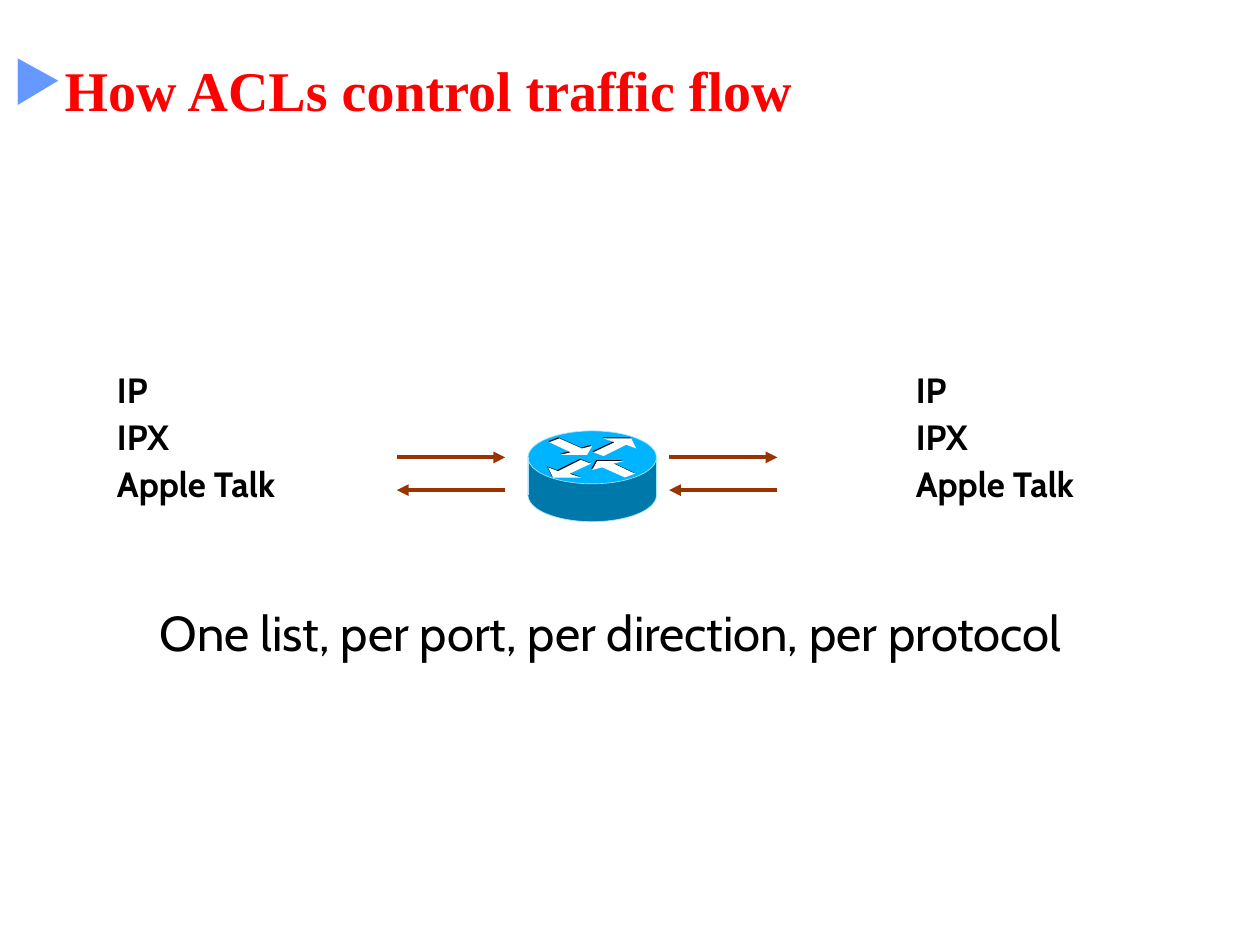
from lxml.etree import SubElement
from pptx import Presentation
from pptx.dml.color import RGBColor
from pptx.enum.shapes import MSO_CONNECTOR, MSO_SHAPE
from pptx.enum.text import MSO_ANCHOR, MSO_AUTO_SIZE, PP_ALIGN
from pptx.oxml.ns import qn
from pptx.util import Inches, Pt

W, H = 10, 7.5
TITLE = "How ACLs control traffic flow"
PROTOCOLS = ["IP", "IPX", "Apple Talk"]
RULE = ["One list, per port, per direction, per protocol"]
RED, BLACK, WHITE, BROWN = "FF0000", "000000", "FFFFFF", "993300"
SIDE, TOP, EDGE, BULLET = "0078AA", "00B4FF", "AAE6FF", "6699FF"

LIST_LEFTS = [0.083 * W, 0.717 * W]
ARROW_LEFTS = [0.315 * W, 0.531 * W]
ARROW_ROWS = [3.63, 3.89]
ARROW_LEN = 0.86
ROUTER_LEFT, ROUTER_W, LID_H = 4.19, 1.02, 0.42
LID_TOP, LID_MID, BODY_H = 3.42, 3.63, 0.3

CENTRE = (4700, 3635)
OUTWARD = [(10, -45), (90, -15), (270, -105), (350, -75), (310, -155), (90, -155), (180, -125)]
INWARD = [(-340, -125), (-260, -155), (-80, -75), (0, -95), (-40, -25), (-250, -25), (-170, -45)]


def rgb(value):
    return RGBColor.from_string(value)


def style(sp, fill, line=None):
    sp.shadow.inherit = False
    sp.fill.solid()
    sp.fill.fore_color.rgb = rgb(fill)
    if line:
        sp.line.color.rgb = rgb(line)
        sp.line.width = Pt(0.37)
    else:
        sp.line.fill.background()


def add_solid(shapes, kind, y, h, fill, line=None):
    sp = shapes.add_shape(kind, Inches(ROUTER_LEFT), Inches(y), Inches(ROUTER_W), Inches(h))
    style(sp, fill, line)


def add_line(shapes, x1, y1, x2, y2, color, width, arrow=False):
    c = shapes.add_connector(MSO_CONNECTOR.STRAIGHT, Inches(x1), Inches(y1), Inches(x2), Inches(y2))
    c.line.color.rgb = rgb(color)
    c.line.width = Pt(width)
    if arrow:
        SubElement(c.line._get_or_add_ln(), qn("a:tailEnd"), type="triangle")
    SubElement(c._element.spPr, qn("a:effectLst"))


def add_router_arrow(shapes, outline, sign, shift, fill):
    pts = [(CENTRE[0] + sign * x + shift, CENTRE[1] + sign * y + shift) for x, y in outline]
    fb = shapes.build_freeform(*pts[0], scale=Inches(1) / 1000)
    fb.add_line_segments(pts[1:], close=True)
    style(fb.convert_to_shape(), fill)


def add_run(p, text, size, font, color, bold):
    r = p.add_run()
    r.text = text
    r.font.size, r.font.name, r.font.bold = Pt(size), font, bold
    r.font.color.rgb = rgb(color)


def add_text(s, lines, x, y, w, h, size, before, bold):
    tf = s.shapes.add_textbox(Inches(x), Inches(y), Inches(w), Inches(h)).text_frame
    tf.word_wrap = True
    tf.vertical_anchor = MSO_ANCHOR.MIDDLE
    for i, line in enumerate(lines):
        p = tf.add_paragraph() if i else tf.paragraphs[0]
        p.line_spacing, p.space_before = 0.8, Pt(before)
        pPr = p._p.get_or_add_pPr()
        pPr.set("marL", str(Inches(0.38)))
        pPr.set("indent", str(-Inches(0.38)))
        add_run(p, line, size, "Cabin", BLACK, bold)


def add_title(s):
    sp = s.shapes.title
    sp.left, sp.top, sp.width, sp.height = 0, Inches(0.33), Inches(W), Inches(0.1 * H)
    tf = sp.text_frame
    tf.auto_size = MSO_AUTO_SIZE.NONE
    tf.vertical_anchor = MSO_ANCHOR.MIDDLE
    p = tf.paragraphs[0]
    p.alignment = PP_ALIGN.LEFT
    pPr = p._p.get_or_add_pPr()
    SubElement(SubElement(pPr, qn("a:buClr")), qn("a:srgbClr"), val=BULLET)
    SubElement(pPr, qn("a:buChar"), char="▶")
    add_run(p, TITLE, 32, "Times New Roman", RED, True)


def add_router(s):
    shapes = s.shapes.add_group_shape().shapes
    add_solid(shapes, MSO_SHAPE.OVAL, LID_TOP + BODY_H, LID_H, SIDE, EDGE)
    add_solid(shapes, MSO_SHAPE.RECTANGLE, LID_MID, BODY_H, SIDE)
    add_solid(shapes, MSO_SHAPE.OVAL, LID_TOP, LID_H, TOP, EDGE)
    for shift, fill in [(-8, BLACK), (0, WHITE)]:
        for outline in (OUTWARD, INWARD):
            for sign in (1, -1):
                add_router_arrow(shapes, outline, sign, shift, fill)
    for x in (ROUTER_LEFT, ROUTER_LEFT + ROUTER_W):
        add_line(shapes, x, LID_MID, x, LID_MID + BODY_H, EDGE, 0.37)


def main():
    prs = Presentation()
    prs.slide_width, prs.slide_height = Inches(W), Inches(H)
    s = prs.slides.add_slide(prs.slide_layouts[5])
    add_title(s)
    add_router(s)
    for x in ARROW_LEFTS:
        right, left = ARROW_ROWS
        add_line(s.shapes, x, right, x + ARROW_LEN, right, BROWN, 2.25, True)
        add_line(s.shapes, x + ARROW_LEN, left, x, left, BROWN, 2.25, True)
    for x in LIST_LEFTS:
        add_text(s, PROTOCOLS, x, 2.58, 1.73, 1.83, 20, 7.5, True)
    add_text(s, RULE, 1.17, 4.54, 7.92, 1.04, 28, 10.5, False)
    prs.save("out.pptx")


if __name__ == "__main__":
    main()
